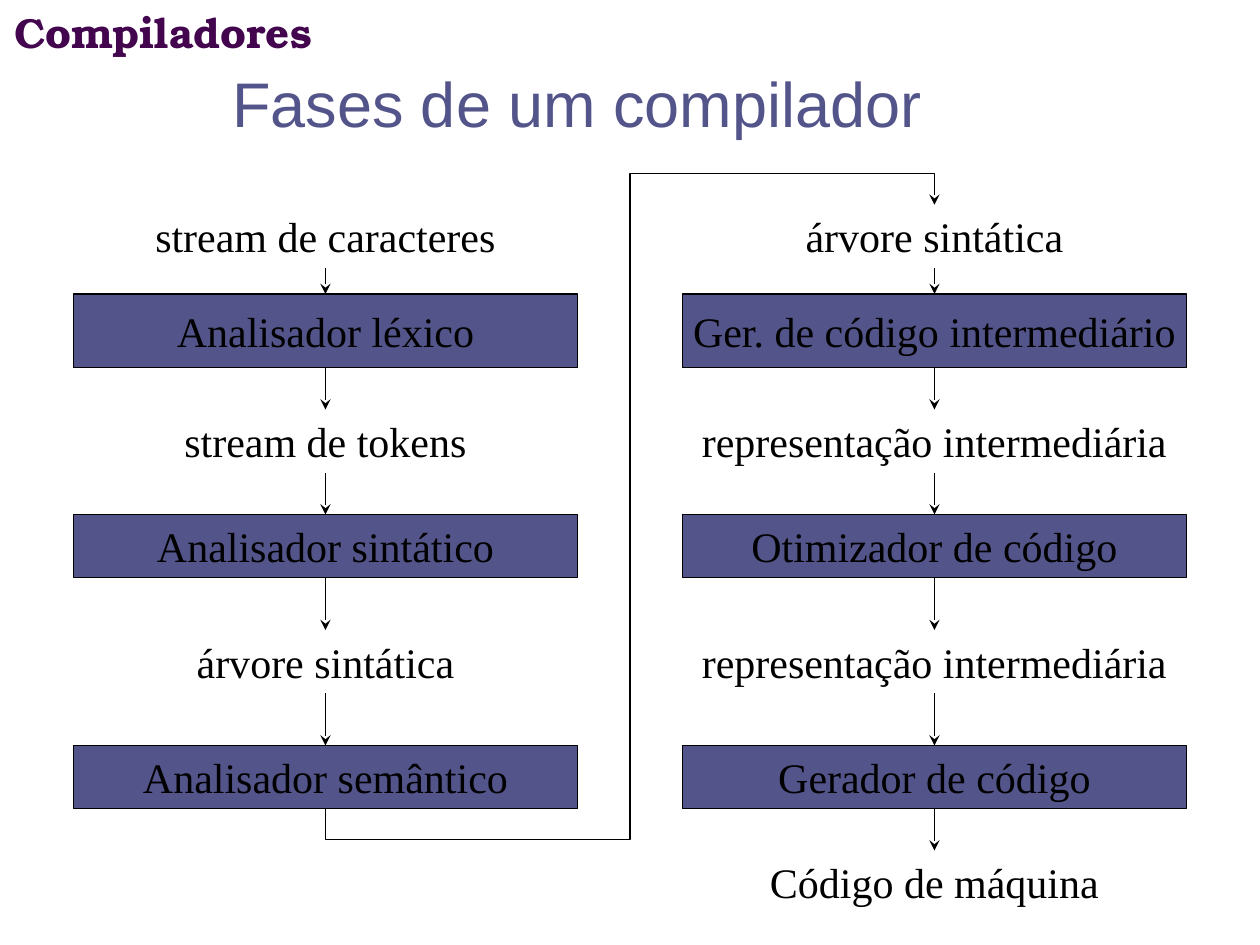
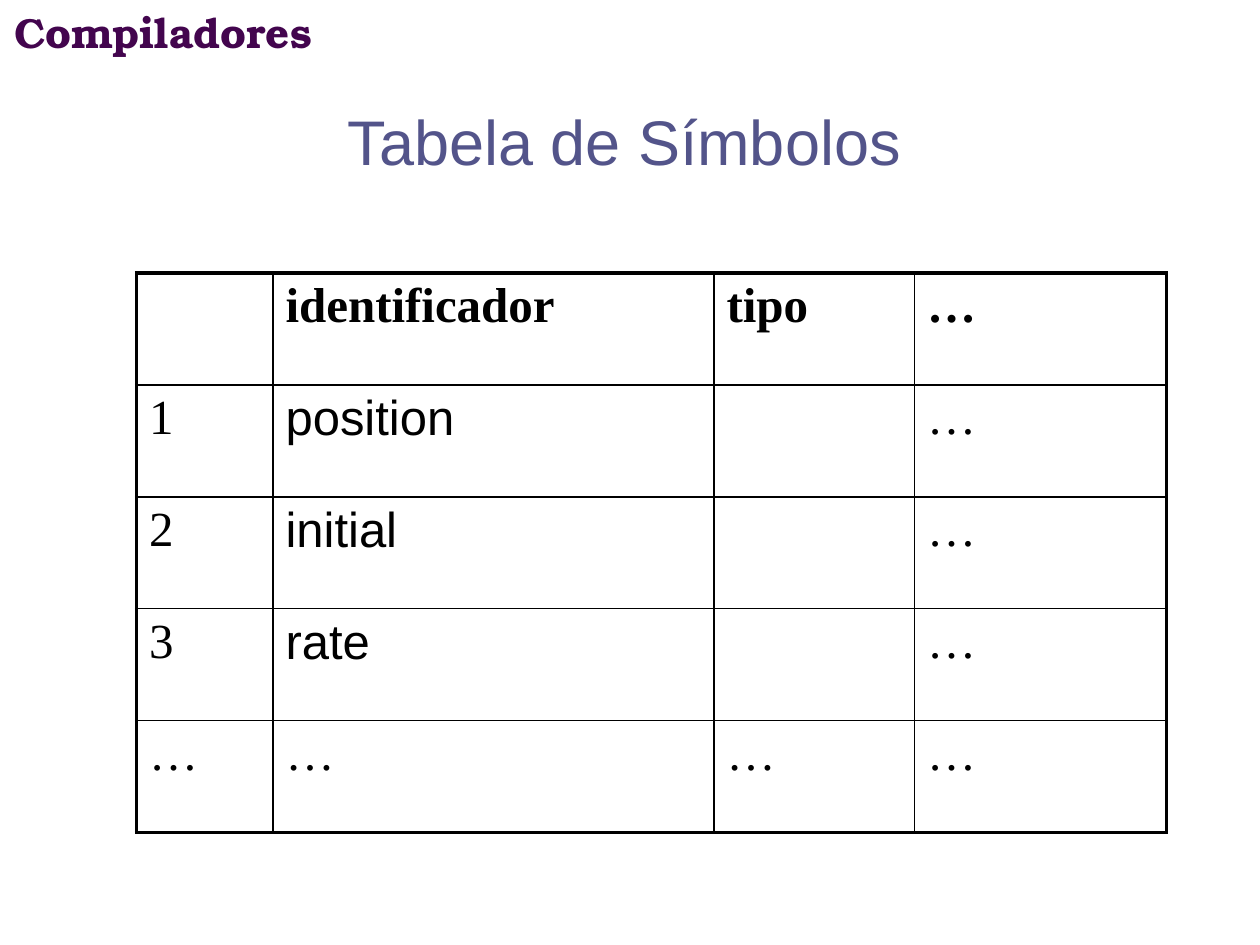
import pptx
import pptx.util
import pptx.dml.color
import pptx.enum.shapes
import pptx.enum.text
import pptx.oxml
import pptx.oxml.ns

RGBColor = pptx.dml.color.RGBColor
PURPLE = RGBColor(0x43, 0x05, 0x4E)
SLATE = RGBColor(0x53, 0x54, 0x8A)
BLACK = RGBColor(0, 0, 0)
SERIF = "Times New Roman"
SANS = "Arial"
COLS, ROWS = 120, 90
TOP, LEFT, BOTTOM = 0, 1, 2
ALIGN = pptx.enum.text.PP_ALIGN
MIDDLE = pptx.enum.text.MSO_ANCHOR.MIDDLE
KIND = pptx.enum.shapes.MSO_CONNECTOR


class Deck:
    def __init__(self):
        self.prs = pptx.Presentation()
        self.prs.slide_width = pptx.util.Inches(10)
        self.prs.slide_height = pptx.util.Inches(7.5)
        self.slide = None

    def across(self, cols):
        return round(self.prs.slide_width * cols / COLS)

    def down(self, rows):
        return round(self.prs.slide_height * rows / ROWS)

    def place(self, x, y, w, h):
        return self.across(x), self.down(y), self.across(w), self.down(h)

    def style(self, frame, size, face, color=BLACK, bold=False, align=ALIGN.CENTER):
        for para in frame.paragraphs:
            para.alignment = align
            for run in para.runs:
                run.font.size = pptx.util.Pt(size)
                run.font.name = face
                run.font.color.rgb = color
                run.font.bold = bold

    def start(self, title, x, y, w, h):
        self.slide = self.prs.slides.add_slide(self.prs.slide_layouts[5])
        head = self.slide.shapes.title
        head.left, head.top, head.width, head.height = self.place(x, y, w, h)
        frame = head.text_frame
        frame.text = title
        frame.auto_size = pptx.enum.text.MSO_AUTO_SIZE.NONE
        frame.vertical_anchor = MIDDLE
        self.style(frame, 36, SANS, SLATE)
        self.band("Compiladores")

    def band(self, text):
        frame = self.slide.shapes.add_textbox(*self.place(1.4, 0.6, 75.7, 4.8)).text_frame
        frame.margin_left = frame.margin_right = 0
        frame.margin_top = frame.margin_bottom = 0
        frame.word_wrap = True
        frame.text = text
        self.style(frame, 24, "TeX Gyre Bonum", PURPLE, True, ALIGN.LEFT)

    def label(self, text, x, y, w, h):
        shape = self.slide.shapes.add_textbox(*self.place(x, y, w, h))
        shape.text_frame.word_wrap = True
        shape.text_frame.text = text
        self.style(shape.text_frame, 24, SERIF)
        return shape

    def box(self, text, x, y, w, h):
        shape = self.slide.shapes.add_shape(
            pptx.enum.shapes.MSO_SHAPE.RECTANGLE, *self.place(x, y, w, h))
        shape.shadow.inherit = False
        shape.fill.solid()
        shape.fill.fore_color.rgb = SLATE
        shape.line.color.rgb = BLACK
        shape.line.width = pptx.util.Pt(0.75)
        frame = shape.text_frame
        frame.word_wrap = False
        frame.vertical_anchor = MIDDLE
        frame.text = text
        self.style(frame, 24, SERIF)
        return shape

    def wire(self, kind, x1, y1, x2, y2):
        line = self.slide.shapes.add_connector(kind, x1, y1, x2, y2)
        line.line.color.rgb = BLACK
        line.line.width = pptx.util.Pt(0.75)
        tail = pptx.oxml.ns.qn("a:tailEnd")
        line.line._get_or_add_ln().append(
            pptx.oxml.parse_xml(f'<a:tailEnd {pptx.oxml.ns.nsdecls("a")} type="stealth"/>'))
        line._element.spPr.append(
            pptx.oxml.parse_xml(f'<a:effectLst {pptx.oxml.ns.nsdecls("a")}/>'))
        return line

    def arrow(self, start, end):
        line = self.wire(KIND.STRAIGHT, 0, 0, 0, 0)
        line.begin_connect(start, BOTTOM)
        line.end_connect(end, TOP)

    def detour(self, start, end, gap):
        x1, y1 = start.left + start.width // 2, start.top + start.height
        x2, y2 = end.left + end.width // 2, end.top
        wide, high = x2 - x1, y1 - y2
        left, top = (x1 + x2 - high) // 2, (y1 + y2 - wide) // 2
        line = self.wire(KIND.ELBOW, left, top, left + high, top + wide)
        frame = line._element.spPr.find(pptx.oxml.ns.qn("a:xfrm"))
        for key, value in (("rot", "5400000"), ("flipH", "1"), ("flipV", "1")):
            frame.set(key, value)
        share = round(100000 * self.down(gap) / high)
        geom = line._element.spPr.find(pptx.oxml.ns.qn("a:prstGeom"))
        geom.set("prst", "bentConnector5")
        guides = geom.find(pptx.oxml.ns.qn("a:avLst"))
        for n, value in enumerate((-share, 50000, 100000 + share), 1):
            guides.append(pptx.oxml.parse_xml(
                f'<a:gd {pptx.oxml.ns.nsdecls("a")} name="adj{n}" fmla="val {value}"/>'))

    def chain(self, x, w, steps):
        shapes = [draw(text, x, y, w, h) for draw, text, y, h in steps]
        for start, end in zip(shapes, shapes[1:]):
            self.arrow(start, end)
        return shapes

    def edge(self, cell, sides):
        props = cell._tc.get_or_add_tcPr()
        for n, (side, width) in enumerate(sides.items()):
            props.insert(n, pptx.oxml.parse_xml(
                f'<a:ln{side} {pptx.oxml.ns.nsdecls("a")} w="{pptx.util.Pt(width)}">'
                f'<a:solidFill><a:srgbClr val="{BLACK}"/></a:solidFill></a:ln{side}>'))

    def table(self, data, x, y, widths, high):
        rows, cols = len(data), len(widths)
        grid = self.slide.shapes.add_table(
            rows, cols, *self.place(x, y, sum(widths), high * rows)).table
        grid.first_row = grid.horz_banding = False
        for col, wide in zip(grid.columns, widths):
            col.width = self.across(wide)
        for r, line in enumerate(data):
            grid.rows[r].height = self.down(high)
            for c, text in enumerate(line):
                cell = grid.cell(r, c)
                cell.fill.background()
                cell.text_frame.text = text
                face = SANS if c == 1 and 0 < r < rows - 1 else SERIF
                self.style(cell.text_frame, 28, face, bold=r == 0, align=ALIGN.LEFT)
                outer = {"L": c == 0, "R": c == cols - 1, "T": r == 0, "B": r == rows - 1}
                self.edge(cell, {side: 2.25 if rim else 1 for side, rim in outer.items()})


def phases(deck):
    deck.start("Fases de um compilador", 16.2, 6.1, 77.5, 7.3)
    box, label = deck.box, deck.label
    slots = [(label, 19.5, 6), (box, 28, 7), (label, 39, 6), (box, 49, 6),
             (label, 60, 6), (box, 71, 6), (label, 81, 6)]
    front = ["stream de caracteres", "Analisador léxico", "stream de tokens",
             "Analisador sintático", "árvore sintática", "Analisador semântico"]
    back = ["árvore sintática", "Ger. de código intermediário",
            "representação intermediária", "Otimizador de código",
            "representação intermediária", "Gerador de código", "Código de máquina"]
    first, last = [
        deck.chain(x, 48, [(draw, text, y, h) for text, (draw, y, h) in zip(texts, slots)])
        for x, texts in ((7, front), (65, back))]
    deck.detour(first[-1], last[0], 3)


def symbols(deck):
    deck.start("Tabela de Símbolos", 19.3, 8.2, 80.3, 10.4)
    names = ["position", "initial", "rate"]
    data = [["", "identificador", "tipo", "…"]]
    data += [[str(n), name, "", "…"] for n, name in enumerate(names, 1)]
    data.append(["…"] * 4)
    deck.table(data, 13, 26, [13, 42, 19.1, 24], 10.66)


def main():
    deck = Deck()
    phases(deck)
    symbols(deck)
    deck.prs.save("out.pptx")


if __name__ == "__main__":
    main()
